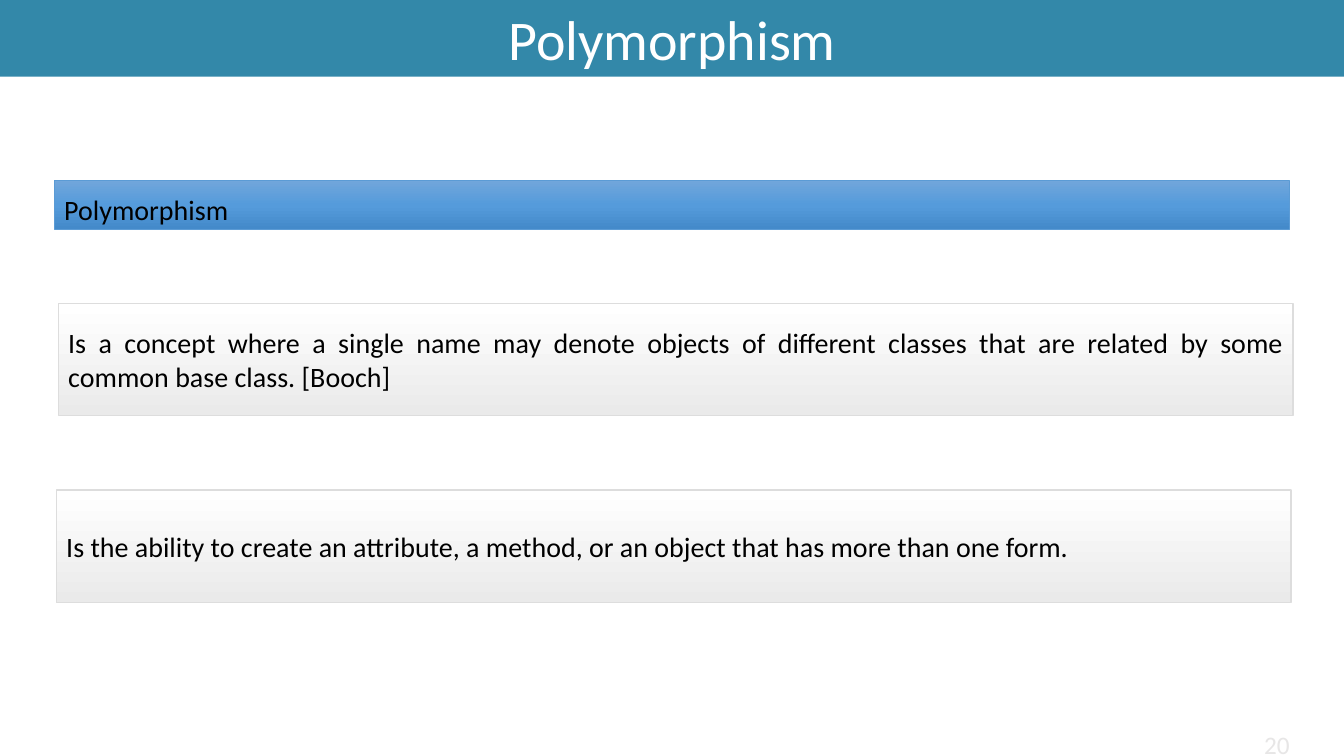
from copy import deepcopy

from pptx import Presentation
from pptx.dml.color import RGBColor
from pptx.enum.shapes import MSO_SHAPE as Shape
from pptx.enum.text import MSO_ANCHOR as Anchor, MSO_AUTO_SIZE as AutoSize, PP_ALIGN as Align
from pptx.util import Cm, Pt

TEAL = RGBColor(0x33, 0x88, 0xA9)
WHITE = RGBColor(0xFF, 0xFF, 0xFF)
BLACK = RGBColor(0x00, 0x00, 0x00)
SILVER = RGBColor(0xEA, 0xEA, 0xEA)
EDGE_GRAY = RGBColor(0xDD, 0xDD, 0xDD)
NUMBER_GRAY = RGBColor(0xE7, 0xE6, 0xE6)
EDGE_BLUE = RGBColor(0x5B, 0x9B, 0xD5)
BLUES = [RGBColor(0x71, 0xA6, 0xDB), RGBColor(0x55, 0x9B, 0xDB), RGBColor(0x44, 0x8A, 0xCA)]
GRAYS = [WHITE, SILVER]


def write(shape, text, size, color, margins, **paragraph_format):
    frame = shape.text_frame
    frame_format = {
        "word_wrap": True,
        "auto_size": AutoSize.NONE,
        "vertical_anchor": Anchor.MIDDLE,
        "margin_left": margins[0],
        "margin_right": margins[0],
        "margin_top": margins[1],
        "margin_bottom": margins[1],
    }
    for name, value in frame_format.items():
        setattr(frame, name, value)
    para = frame.paragraphs[0]
    for name, value in paragraph_format.items():
        setattr(para, name, value)
    span = para.add_run()
    span.text = text
    span.font.name = "Calibri"
    span.font.size = Pt(size)
    span.font.color.rgb = color


def fill_gradient(shape, colors):
    shape.fill.gradient()
    shape.fill.gradient_angle = 270
    stop_list = shape.element.spPr.xpath(".//a:gsLst")[0]
    while len(stop_list) < len(colors):
        stop_list.append(deepcopy(stop_list[0]))
    for index, (stop, color) in enumerate(zip(shape.fill.gradient_stops, colors)):
        stop.position = index / (len(colors) - 1)
        stop.color.rgb = color


deck = Presentation()
deck.slide_width, deck.slide_height = Cm(33.87), Cm(19.05)
page = deck.slides.add_slide(deck.slide_layouts[5])

# Title band
title = page.shapes.title
title.left, title.top, title.width, title.height = Cm(0), Cm(0), deck.slide_width, Cm(1.93)
title.fill.solid()
title.fill.fore_color.rgb = TEAL
write(title, "Polymorphism", 40, WHITE, (Cm(0.25), Cm(0.13)), alignment=Align.CENTER)

# Heading bar and the two definitions: left, top, height, stops, edge, edge width, text, format
boxes = [
    (1.37, 4.55, 1.22, BLUES, EDGE_BLUE, 0.5, "Polymorphism",
     {"alignment": Align.LEFT, "line_spacing": Pt(30)}),
    (1.47, 7.65, 2.82, GRAYS, EDGE_GRAY, 1,
     "Is a concept where a single name may denote objects of different classes "
     "that are related by some common base class. [Booch]",
     {"alignment": Align.JUSTIFY}),
    (1.42, 12.35, 2.84, GRAYS, EDGE_GRAY, 1,
     "Is the ability to create an attribute, a method, or an object "
     "that has more than one form.",
     {"alignment": Align.JUSTIFY}),
]
for left, top, height, stops, edge, edge_width, text, paragraph_format in boxes:
    box = page.shapes.add_shape(Shape.RECTANGLE, Cm(left), Cm(top), Cm(31.12), Cm(height))
    box.shadow.inherit = False
    fill_gradient(box, stops)
    box.line.color.rgb = edge
    box.line.width = Pt(edge_width)
    write(box, text, 20, BLACK, (Cm(0.25), Cm(0.25)), **paragraph_format)

# Page number
number = page.shapes.add_textbox(Cm(29.5), Cm(18.45), Cm(3), Cm(0.6))
write(number, "20", 18, NUMBER_GRAY, (Cm(0), Cm(0)), alignment=Align.RIGHT)

deck.save("out.pptx")
